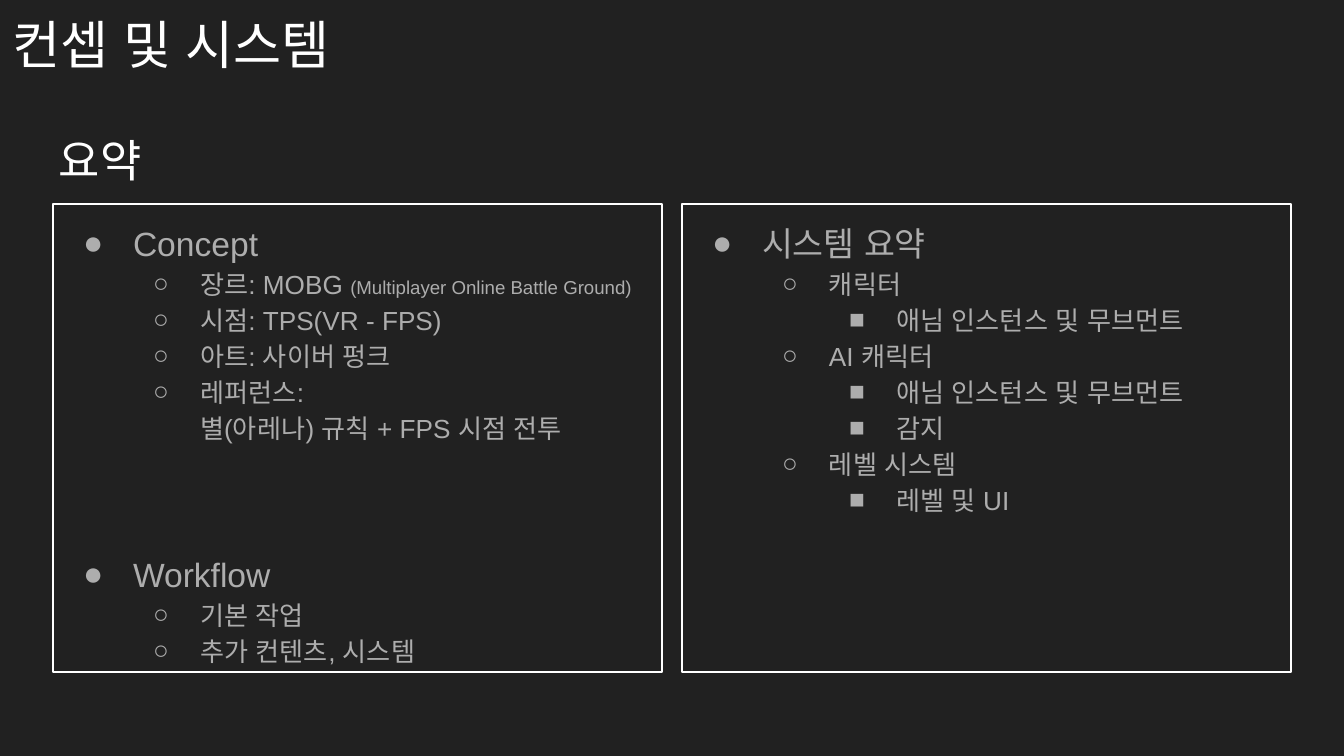
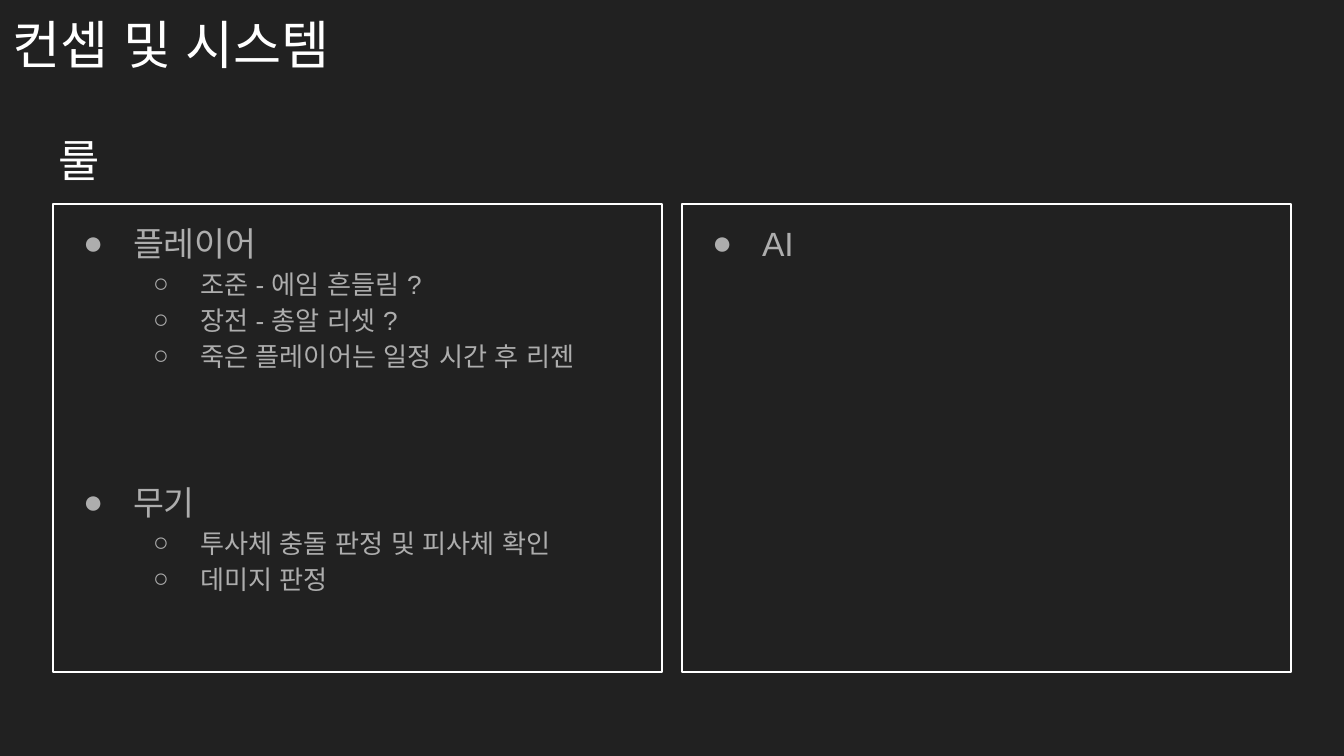
from pptx import Presentation
from pptx.dml.color import RGBColor
from pptx.enum.shapes import MSO_SHAPE as SHAPE
from pptx.enum.text import MSO_ANCHOR as ANCHOR, PP_ALIGN as ALIGN
from pptx.util import Emu, Pt
from lxml.etree import SubElement
from pptx.oxml.ns import qn

FONT = "Arial"
BACK, WHITE, GRAY = "212121", "FFFFFF", "ADADAD"
TITLE = "컨셉 및 시스템"
BREAK = "\n"

SLIDES = [
    ("요약", [
        [
            (0, ["Concept"]),
            (1, ["장르: MOBG ", ("(Multiplayer Online Battle Ground)", 10)]),
            (1, ["시점: TPS(VR - FPS)"]),
            (1, ["아트: 사이버 펑크"]),
            (1, ["레퍼런스:", BREAK, "별(아레나) 규칙 + FPS 시점 전투"]),
            (0, ["Workflow"]),
            (1, ["기본 작업"]),
            (1, ["추가 컨텐츠, 시스템"]),
        ],
        [
            (0, ["시스템 요약"]),
            (1, ["캐릭터"]),
            (2, ["애님 인스턴스 및 무브먼트"]),
            (1, ["AI 캐릭터"]),
            (2, ["애님 인스턴스 및 무브먼트"]),
            (2, ["감지"]),
            (1, ["레벨 시스템"]),
            (2, ["레벨 및 UI"]),
        ],
    ]),
    ("룰", [
        [
            (0, ["플레이어"]),
            (1, ["조준 - 에임 흔들림 ?"]),
            (1, ["장전 - 총알 리셋 ?"]),
            (1, ["죽은 플레이어는 일정 시간 후 리젠"]),
            (0, ["무기"]),
            (1, ["투사체 충돌 판정 및 피사체 확인"]),
            (1, ["데미지 판정"]),
        ],
        [(0, ["AI"])],
    ]),
]

LEVELS = [("●", 18, 50), ("○", 14, 47), ("■", 14, 47)]
INDENT = 67
SECTION_GAP = 56
WIDTH, HEIGHT = 1344, 756
TITLE_BOX = (0, -1, WIDTH, 84)
SUBTITLE_BOX = (46, 120, 1253, 84)
PANEL_W, PANEL_H, PANEL_TOP, PANEL_GAP = 609, 468, 204, 20
PANEL_LEFT = (WIDTH - 2 * PANEL_W - PANEL_GAP) / 2


def px(n):
    return Emu(round(n * 914400 / 134.4))


def color(value):
    return RGBColor.from_string(value)


def add_run(p, text, size, fill):
    r = p.add_run()
    r.text = text
    r.font.size = Pt(size)
    r.font.name = FONT
    r.font.color.rgb = color(fill)
    rPr = r.font._element
    rPr.set("lang", "ko")
    for tag in ("a:ea", "a:cs"):
        SubElement(rPr, qn(tag)).set("typeface", FONT)


def set_frame(tf):
    tf.word_wrap = True
    tf.vertical_anchor = ANCHOR.TOP
    tf.margin_left = tf.margin_right = px(13)
    tf.margin_top = tf.margin_bottom = px(13)


def add_heading(s, box, text, size):
    tf = s.shapes.add_textbox(*map(px, box)).text_frame
    set_frame(tf)
    add_run(tf.paragraphs[0], text, size, WHITE)


def set_bullet(p, level):
    mark, _, hang = LEVELS[level]
    p.level = level
    pPr = p._p.get_or_add_pPr()
    pPr.set("marL", str(px(INDENT * (level + 1))))
    pPr.set("indent", str(-px(hang)))
    clr = SubElement(SubElement(pPr, qn("a:buClr")), qn("a:srgbClr"))
    clr.set("val", GRAY)
    SubElement(pPr, qn("a:buFont")).set("typeface", FONT)
    SubElement(pPr, qn("a:buChar")).set("char", mark)


def add_panel(s, column, items):
    left = PANEL_LEFT + column * (PANEL_W + PANEL_GAP)
    box = (left, PANEL_TOP, PANEL_W, PANEL_H)
    sp = s.shapes.add_shape(SHAPE.RECTANGLE, *map(px, box))
    sp.shadow.inherit = False
    sp.fill.background()
    sp.line.color.rgb = color(WHITE)
    sp.line.width = Pt(0.75)
    tf = sp.text_frame
    set_frame(tf)
    for i, (level, parts) in enumerate(items):
        p = tf.add_paragraph() if i else tf.paragraphs[0]
        p.alignment = ALIGN.LEFT
        p.line_spacing = 1.15
        p.space_before = Pt(SECTION_GAP if i and level == 0 else 0)
        p.space_after = Pt(0)
        set_bullet(p, level)
        for part in parts:
            if part == BREAK:
                p.add_line_break()
                continue
            text, size = part if isinstance(part, tuple) else (part, LEVELS[level][1])
            add_run(p, text, size, GRAY)


prs = Presentation()
prs.slide_width, prs.slide_height = px(WIDTH), px(HEIGHT)
for subtitle, panels in SLIDES:
    s = prs.slides.add_slide(prs.slide_layouts[6])
    s.background.fill.solid()
    s.background.fill.fore_color.rgb = color(BACK)
    add_heading(s, TITLE_BOX, TITLE, 28)
    add_heading(s, SUBTITLE_BOX, subtitle, 24)
    for column, items in enumerate(panels):
        add_panel(s, column, items)
prs.save("out.pptx")
